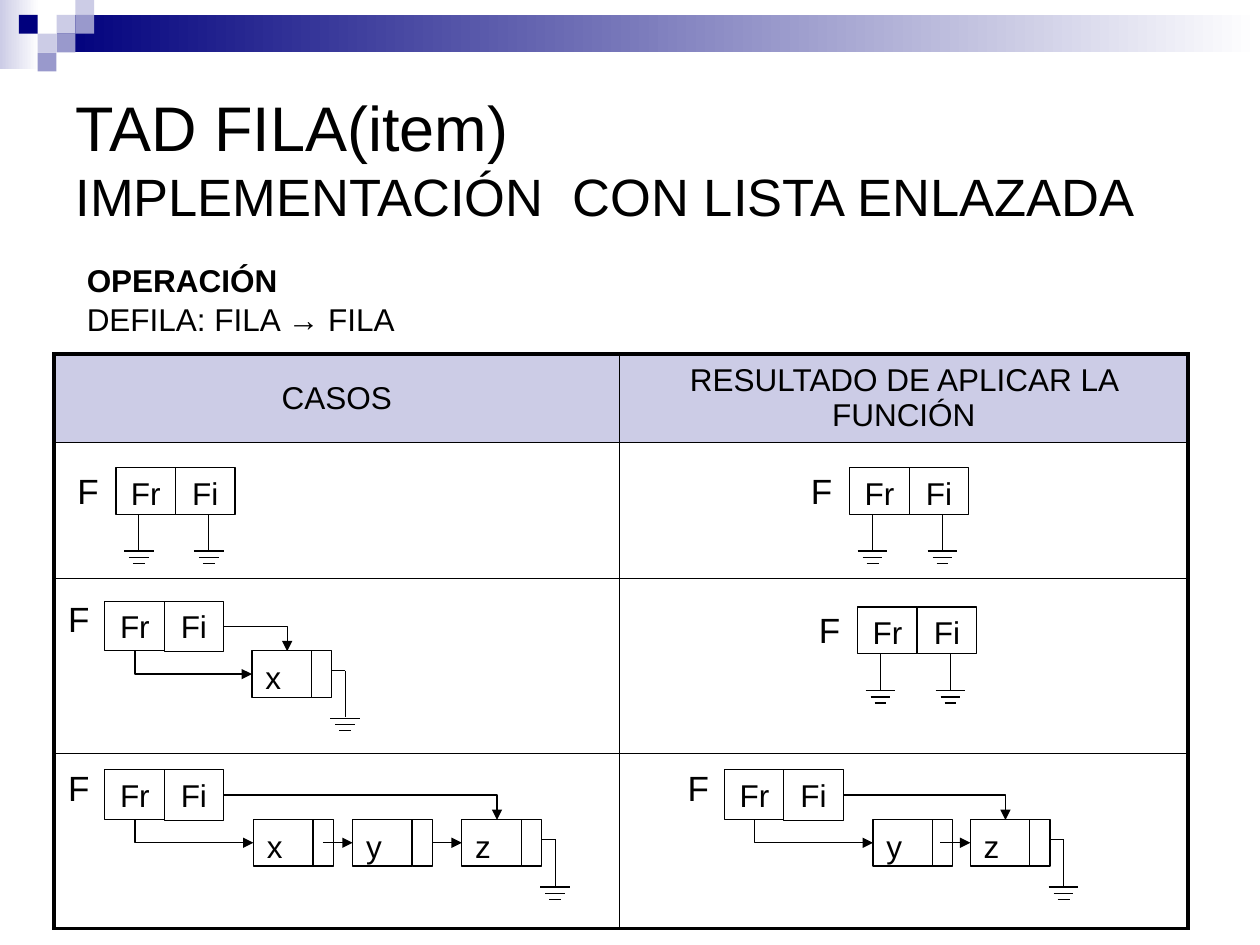
from lxml.etree import SubElement as Sub
from pptx import Presentation as Deck
from pptx.dml.color import RGBColor as Rgb
from pptx.enum.shapes import MSO_CONNECTOR as Conn, MSO_SHAPE as Form
from pptx.enum.text import MSO_ANCHOR as Anchor, MSO_AUTO_SIZE as Fit, PP_ALIGN as Align
from pptx.oxml.ns import qn
from pptx.util import Cm, Pt

BLACK = Rgb(0x00, 0x00, 0x00)
WHITE = Rgb(0xFF, 0xFF, 0xFF)
NAVY = Rgb(0x00, 0x00, 0x7D)
LILAC = Rgb(0xCC, 0xCC, 0xE6)
MAUVE = Rgb(0x99, 0x99, 0xCC)

STEP = 0.38
CELL_W, CELL_H = 1.2, 0.94
TAIL_W = 0.41
BLOCKS = [(3, 1, LILAC), (4, 0, LILAC), (4, 1, MAUVE), (2, 2, LILAC),
          (1, 1, NAVY), (3, 2, MAUVE), (2, 3, MAUVE)]
EMPTY = [(2.34, 9.43), (17.13, 9.43), (17.29, 12.24)]
LINKED = [(2.11, 12.12, [("x", 2.97)]),
          (2.11, 15.52, [("x", 3), ("y", 5), ("z", 7.2)]),
          (14.6, 15.52, [("y", 3), ("z", 4.96)])]
COLS = [11.4, 11.46]
ROWS = [1.78, 2.74, 3.53, 3.53]
HEADS = ["CASOS", "RESULTADO DE APLICAR LA FUNCIÓN"]


def put(item, form):
    for key, val in form.items():
        setattr(item, key, val)


def cms(*nums):
    return [Cm(num) for num in nums]


def write(par, text, size, bold=False):
    run = par.add_run()
    run.text = text
    put(run.font, {"name": "Arial", "size": Pt(size), "bold": bold})
    run.font.color.rgb = BLACK


def label(slide, text, area, size=18, align=Align.LEFT, bold=False, wrap=True):
    frame = slide.shapes.add_textbox(*cms(*area)).text_frame
    put(frame, {"word_wrap": wrap, "auto_size": Fit.NONE if wrap else Fit.SHAPE_TO_FIT_TEXT})
    par = frame.paragraphs[0]
    par.alignment = align
    write(par, text, size, bold)


def plain(slide, area):
    shape = slide.shapes.add_shape(Form.RECTANGLE, *cms(*area))
    shape.shadow.inherit = False
    shape.line.fill.background()
    return shape


def block(slide, area, tint):
    fill = plain(slide, area).fill
    fill.solid()
    fill.fore_color.rgb = tint


def fade(slide, area, tint):
    fill = plain(slide, area).fill
    fill.gradient()
    fill.gradient_angle = 0
    for stop, hue, spot in zip(fill.gradient_stops, (tint, WHITE), (0, 1)):
        stop.position = spot
        stop.color.rgb = hue


def box(slide, area, text=""):
    shape = plain(slide, area)
    shape.fill.solid()
    shape.fill.fore_color.rgb = WHITE
    shape.line.color.rgb = BLACK
    shape.line.width = Pt(0.75)
    if text:
        frame = shape.text_frame
        put(frame, {"word_wrap": True, "vertical_anchor": Anchor.TOP})
        frame.paragraphs[0].alignment = Align.CENTER
        write(frame.paragraphs[0], text, 18)


def wire(slide, ends, kind=Conn.STRAIGHT, arrow=False, width=0.75):
    link = slide.shapes.add_connector(kind, *cms(*ends))
    link.line.color.rgb = BLACK
    link.line.width = Pt(width)
    props = link._element.spPr
    if arrow:
        Sub(props.find(qn("a:ln")), qn("a:tailEnd")).set("type", "triangle")
    Sub(props, qn("a:effectLst"))
    return props


def elbow(slide, ends, down=False):
    if down:
        left, top, right, low = ends
        mid_x, mid_y = (left + right) / 2, (top + low) / 2
        half_w, half_h = (low - top) / 2, (right - left) / 2
        ends = (mid_x + half_w, mid_y - half_h, mid_x - half_w, mid_y + half_h)
    props = wire(slide, ends, Conn.ELBOW, True)
    props.find(qn("a:prstGeom")).set("prst", "bentConnector2")
    if down:
        props.find(qn("a:xfrm")).set("rot", "16200000")


def ground(slide, x, y, width=0.75):
    wire(slide, (x, y - 0.96, x, y - 0.02), width=width)
    for drop, half in ((0, 0.3), (0.13, 0.2), (0.25, 0.12)):
        wire(slide, (x - half, y + drop, x + half, y + drop))


def empty(slide, x, y):
    for shift in (0.46, 1.87):
        ground(slide, x + shift, y + 1.68)
    label(slide, "F", (x - 1.24, y - 0.1, 1.35, 1.42), 20, Align.CENTER)
    for pos, text in enumerate(("Fr", "Fi")):
        box(slide, (x + pos * CELL_W, y, CELL_W, CELL_H), text)


def node(slide, text, x, y):
    box(slide, (x, y, CELL_W, CELL_H))
    box(slide, (x + CELL_W, y, TAIL_W, CELL_H))
    label(slide, text, (x + 0.02, y + 0.02, 1.37, 1.42))


def linked(slide, x, y, nodes):
    spots = [x + shift for _, shift in nodes]
    last = spots[-1]
    label(slide, "F", (x - 1.22, y - 0.2, 1.4, 1.57), 20, Align.CENTER)
    box(slide, (x, y, 1.22, 1), "Fr")
    box(slide, (x + CELL_W, y, CELL_W, 1.02), "Fi")
    elbow(slide, (x + 0.61, y + 1, spots[0], y + 1.47), True)
    elbow(slide, (x + 2 * CELL_W, y + 0.51, last + 0.71, y + 1.01))
    wire(slide, (last + 1.4, y + 1.4, last + 1.88, y + 1.4))
    ground(slide, last + 1.88, y + 2.36, 0.5)
    for (text, _), spot in zip(nodes, spots):
        node(slide, text, spot, y + 1)
    for spot in spots[1:]:
        wire(slide, (spot - 0.6, y + 1.47, spot, y + 1.47), arrow=True)


def edge(cell, sides):
    props = cell._tc.get_or_add_tcPr()
    for pos, (side, thick) in enumerate(sides.items()):
        line = Sub(props, qn("a:ln" + side), w=str(Pt(thick)))
        Sub(Sub(line, qn("a:solidFill")), qn("a:srgbClr")).set("val", str(BLACK))
        props.insert(pos, line)


def grid(slide):
    area = cms(1.09, 7.14, sum(COLS), sum(ROWS))
    table = slide.shapes.add_table(len(ROWS), len(COLS), *area).table
    put(table, {"first_row": False, "horz_banding": False})
    for col, width in zip(table.columns, COLS):
        col.width = Cm(width)
    for r, tall in enumerate(ROWS):
        table.rows[r].height = Cm(tall)
        for c in range(len(COLS)):
            cell = table.cell(r, c)
            outer = {"L": c == 0, "R": c == len(COLS) - 1,
                     "T": r == 0, "B": r == len(ROWS) - 1}
            cell.fill.background()
            if r == 0:
                cell.fill.solid()
                cell.fill.fore_color.rgb = LILAC
                cell.vertical_anchor = Anchor.MIDDLE
                par = cell.text_frame.paragraphs[0]
                put(par, {"alignment": Align.CENTER, "space_before": Pt(3.6)})
                write(par, HEADS[c], 18)
            edge(cell, {side: 2.25 if out else 1 for side, out in outer.items()})


def banner(slide):
    fade(slide, (0, -0.08, 0.79, 1.47), LILAC)
    fade(slide, (1.14, 0.3, 24.26, 0.76), NAVY)
    for col, row, tint in BLOCKS:
        block(slide, (col * STEP, row * STEP - 0.08, STEP, STEP), tint)


def title(slide):
    head = slide.shapes.title
    put(head, dict(zip(("left", "top", "width", "height"), cms(1.27, 1.27, 22.86, 3.81))))
    put(head.text_frame, {"word_wrap": True, "auto_size": Fit.NONE,
                          "vertical_anchor": Anchor.MIDDLE})
    par = head.text_frame.paragraphs[0]
    par.alignment = Align.LEFT
    write(par, "TAD FILA(item)", 36)
    par.add_line_break()
    write(par, "IMPLEMENTACIÓN  CON LISTA ENLAZADA", 30)


def main():
    deck = Deck()
    put(deck, {"slide_width": Cm(25.4), "slide_height": Cm(19.05)})
    slide = deck.slides.add_slide(deck.slide_layouts[5])
    banner(slide)
    title(slide)
    label(slide, "DEFILA: FILA → FILA", (1.5, 5.92, 6.73, 1.02), wrap=False)
    label(slide, "OPERACIÓN", (1.5, 5.13, 4.37, 1.02), bold=True, wrap=False)
    grid(slide)
    for spot in EMPTY:
        empty(slide, *spot)
    for queue in LINKED:
        linked(slide, *queue)
    deck.save("out.pptx")


if __name__ == "__main__":
    main()
